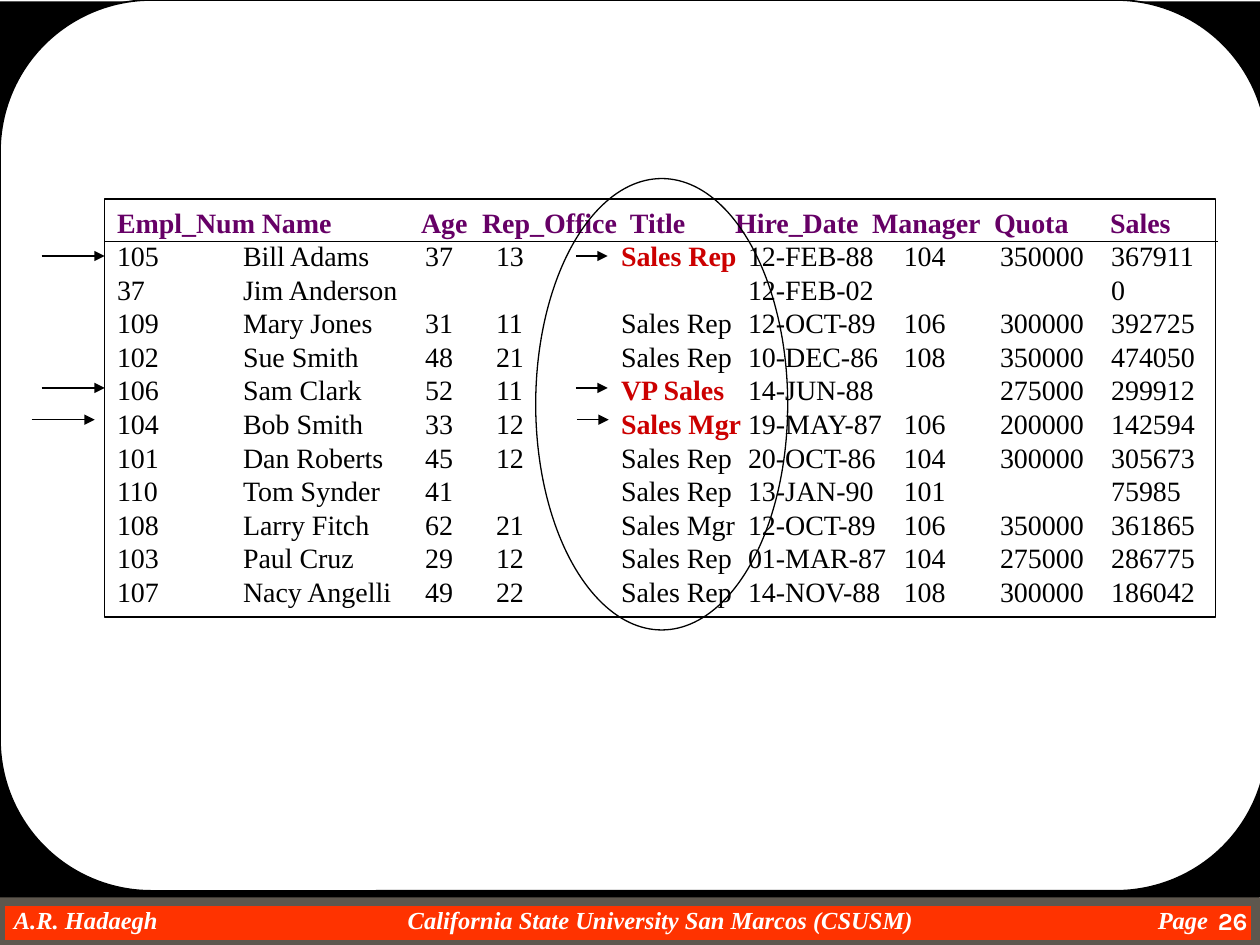
from lxml import etree
from pptx import Presentation
from pptx.dml.color import RGBColor
from pptx.enum import shapes, text
from pptx.oxml import ns
from pptx.util import Cm, Pt

COLORS = {
    "white": "FFFFFF", "black": "000000", "band": "FF3300", "band_edge": "5E574E",
    "heading": "660066", "highlight": "CC0000",
}
SERIF = "Times New Roman"

HEADINGS = ["Empl_Num", "Name", "Age", "Rep_Office", "Title", "Hire_Date",
            "Manager", "Quota", "Sales"]
HEADING_STOPS = [2.92, 6.13, 7.36, 10.34, 12.46, 15.22, 17.68, 20.02]
EMPLOYEE_STOPS = [2.54, 6.21, 7.64, 10.16, 12.72, 15.86, 17.8, 20.04]
EMPLOYEES = [
    ["105", "Bill Adams", "37", "13", "Sales Rep", "12-FEB-88", "104", "350000", "367911"],
    ["37", "Jim Anderson", "", "", "", "12-FEB-02", "", "", "0"],
    ["109", "Mary Jones", "31", "11", "Sales Rep", "12-OCT-89", "106", "300000", "392725"],
    ["102", "Sue Smith", "48", "21", "Sales Rep", "10-DEC-86", "108", "350000", "474050"],
    ["106", "Sam Clark", "52", "11", "VP Sales", "14-JUN-88", "", "275000", "299912"],
    ["104", "Bob Smith", "33", "12", "Sales Mgr", "19-MAY-87", "106", "200000", "142594"],
    ["101", "Dan Roberts", "45", "12", "Sales Rep", "20-OCT-86", "104", "300000", "305673"],
    ["110", "Tom Synder", "41", "", "Sales Rep", "13-JAN-90", "101", "", "75985"],
    ["108", "Larry Fitch", "62", "21", "Sales Mgr", "12-OCT-89", "106", "350000", "361865"],
    ["103", "Paul Cruz", "29", "12", "Sales Rep", "01-MAR-87", "104", "275000", "286775"],
    ["107", "Nacy Angelli", "49", "22", "Sales Rep", "14-NOV-88", "108", "300000", "186042"],
]
MANAGERS = {"104", "105", "106"}
TITLE = HEADINGS.index("Title")

# Left end, height and length of each arrow, in cm
ARROWS = [
    (0.84, 5.16, 1.27), (0.84, 7.82, 1.27), (0.64, 8.46, 1.27),
    (11.61, 5.16, 0.64), (11.61, 7.82, 0.64), (11.63, 8.46, 0.64),
]


def rgb(name):
    return RGBColor.from_string(COLORS[name])


def add_area(slide, kind, left, top, width, height, fill=None, line=None, weight=0.75):
    area = slide.shapes.add_shape(kind, Cm(left), Cm(top), Cm(width), Cm(height))
    area.shadow.inherit = False
    if fill:
        area.fill.solid()
        area.fill.fore_color.rgb = rgb(fill)
    else:
        area.fill.background()
    if line:
        area.line.color.rgb = rgb(line)
        area.line.width = Pt(weight)
    else:
        area.line.fill.background()
    return area


def add_line(slide, left, y, length, arrow=False):
    """Draw a horizontal line, with an arrowhead at its right end if asked."""
    line = slide.shapes.add_connector(
        shapes.MSO_CONNECTOR.STRAIGHT, Cm(left), Cm(y), Cm(left + length), Cm(y))
    line.line.color.rgb = rgb("black")
    line.line.width = Pt(0.75)
    if arrow:
        etree.SubElement(line.line._get_or_add_ln(), ns.qn("a:tailEnd"), type="triangle")
    etree.SubElement(line._element.spPr, ns.qn("a:effectLst"))


def set_tab_stops(paragraph, stops):
    """Add left tab stops, in cm; call before the paragraph's font is set."""
    tabs = etree.SubElement(paragraph._p.get_or_add_pPr(), ns.qn("a:tabLst"))
    for stop in stops:
        etree.SubElement(tabs, ns.qn("a:tab"), pos=str(int(Cm(stop))), algn="l")


def style(paragraph, size, color, face=SERIF, bold=False, italic=False):
    font = paragraph.font
    font.name, font.size, font.bold, font.italic = face, Pt(size), bold, italic
    font.color.rgb = rgb(color)


def add_label(slide, left, top, width, height):
    """Add a one-line text box and return its frame."""
    frame = slide.shapes.add_textbox(Cm(left), Cm(top), Cm(width), Cm(height)).text_frame
    frame.word_wrap = True
    return frame


def add_frame(slide):
    """Draw the footer band and the rounded page on black."""
    rect = shapes.MSO_SHAPE.RECTANGLE
    add_area(slide, rect, 0, 18.16, 25.32, 0.89, "band", "band_edge", 6)
    footer = add_label(slide, 0, 18.24, 25.32, 0.58)
    footer.margin_left = footer.margin_right = 0
    footer.margin_top = footer.margin_bottom = 0
    credit = footer.paragraphs[0]
    set_tab_stops(credit, [0.28, 8.22, 23.34])
    credit.add_run().text = (
        "\tA.R. Hadaegh\tCalifornia State University San Marcos (CSUSM)\tPage")
    style(credit, 14, "white", bold=True, italic=True)

    add_area(slide, rect, 0, 0.03, 25.4, 18.06, "black")
    page = add_area(slide, shapes.MSO_SHAPE.ROUNDED_RECTANGLE,
                    0, 0, 25.55, 17.96, "white", "black", 1)
    page.adjustments[0] = 0.17

    number = add_label(slide, 23.5, 18.08, 1.9, 0.97)
    number.vertical_anchor = text.MSO_ANCHOR.MIDDLE
    number.paragraphs[0].add_run().text = "26"
    number.paragraphs[0].alignment = text.PP_ALIGN.RIGHT
    style(number.paragraphs[0], 14, "white", "Karla", bold=True)


def add_employee(frame, employee):
    row = frame.add_paragraph()
    row.alignment = text.PP_ALIGN.LEFT
    set_tab_stops(row, EMPLOYEE_STOPS)
    style(row, 16, "black")
    if employee[0] not in MANAGERS:
        row.add_run().text = "\t".join(employee)
        return
    row.add_run().text = "\t".join(employee[:TITLE]) + "\t"
    title = row.add_run()
    title.text = employee[TITLE]
    title.font.bold = True
    title.font.color.rgb = rgb("highlight")
    row.add_run().text = "\t" + "\t".join(employee[TITLE + 1:])


def add_listing(slide):
    listing = add_area(slide, shapes.MSO_SHAPE.RECTANGLE,
                       2.11, 4.01, 22.4, 8.43, "white", "black")
    frame = listing.text_frame
    frame.word_wrap = True
    frame.vertical_anchor = text.MSO_ANCHOR.TOP
    heading = frame.paragraphs[0]
    heading.alignment = text.PP_ALIGN.LEFT
    set_tab_stops(heading, HEADING_STOPS)
    heading.add_run().text = "\t".join(HEADINGS)
    style(heading, 16, "heading", bold=True)
    for employee in EMPLOYEES:
        add_employee(frame, employee)


def main():
    deck = Presentation()
    deck.slide_width, deck.slide_height = Cm(25.4), Cm(19.05)
    slide = deck.slides.add_slide(deck.slide_layouts[6])
    add_frame(slide)
    add_listing(slide)
    for left, y, length in ARROWS:
        add_line(slide, left, y, length, arrow=True)
    add_area(slide, shapes.MSO_SHAPE.OVAL, 10.8, 3.6, 5.08, 9.1, line="black")
    add_line(slide, 2.11, 4.87, 22.45)
    deck.save("out.pptx")


if __name__ == "__main__":
    main()
